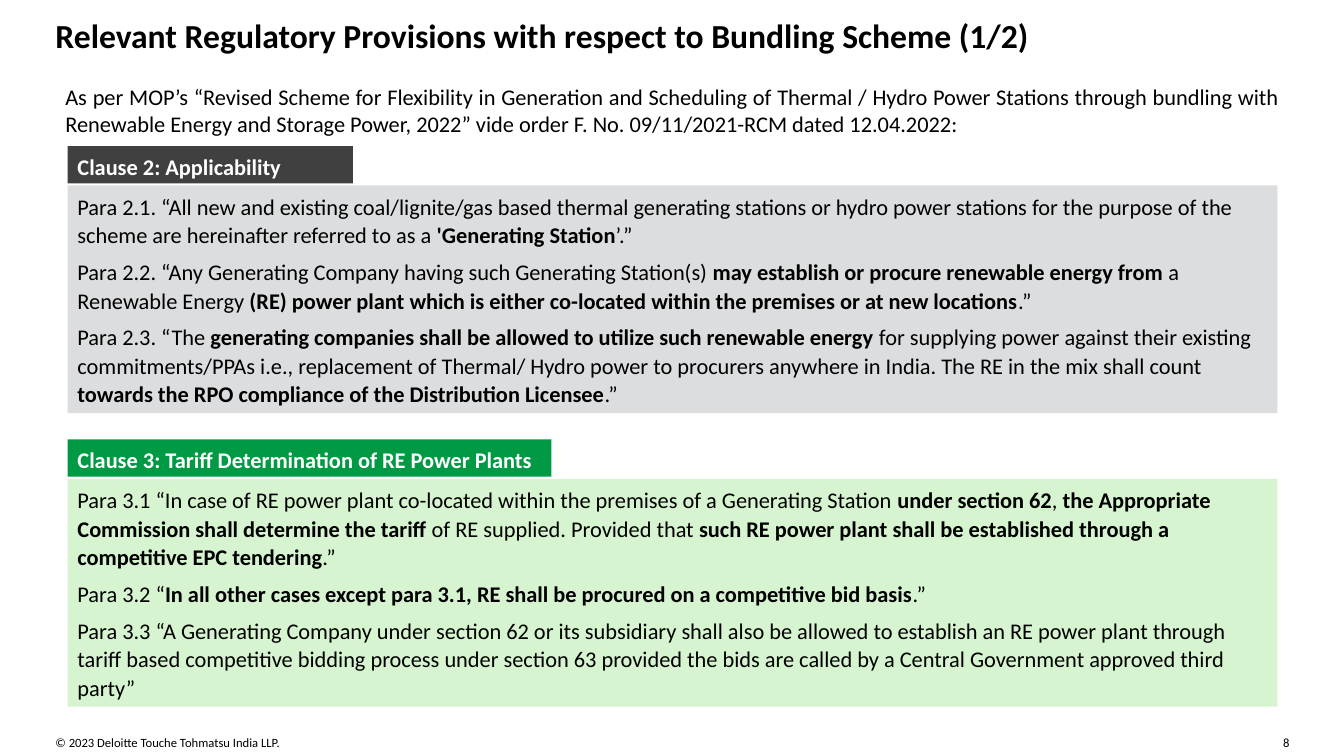
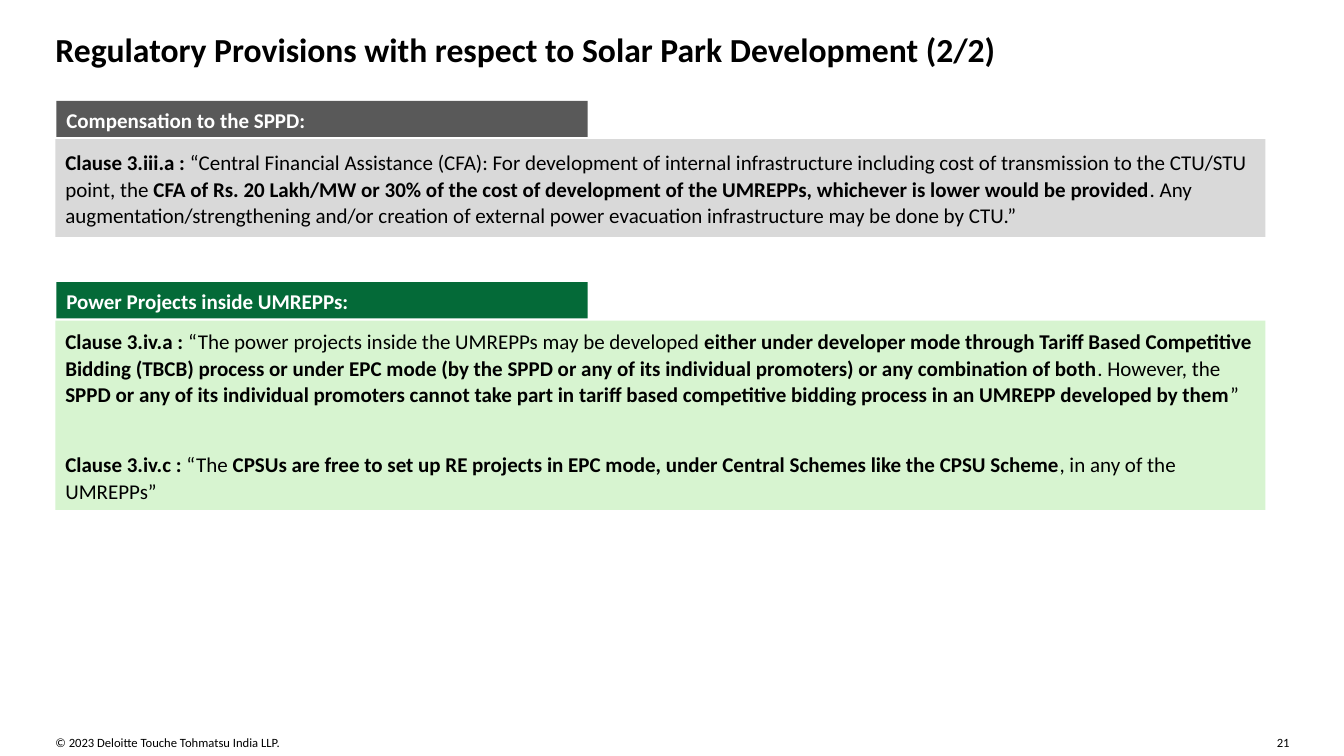
from pptx import Presentation
from pptx.dml.color import RGBColor
from pptx.enum.shapes import MSO_SHAPE
from pptx.enum.text import MSO_ANCHOR, MSO_AUTO_SIZE, PP_ALIGN
from pptx.util import Inches, Pt

FONT = "Calibri"
BLACK = "000000"
WHITE = "FFFFFF"
PALE_GREEN = "D7F4D0"
MARGIN = 0.55
CONTENT_WIDTH = 12.24
PANEL_WIDTH = 12
TITLE_LAYOUT = 5
COPYRIGHT = "© 2023 Deloitte Touche Tohmatsu India LLP."

BUNDLING_INTRO = (
    "As per MOP’s “Revised Scheme for Flexibility in Generation and Scheduling of Thermal / Hydro Power "
    "Stations through bundling with Renewable Energy and Storage Power, 2022” vide order "
    "F. No. 09/11/2021-RCM dated 12.04.2022:"
)
APPLICABILITY = [
    "Para 2.1. “All new and existing coal/lignite/gas based thermal generating stations or hydro power "
    "stations for the purpose of the scheme are hereinafter referred to as a **'Generating Station**’.”",
    "Para 2.2. “Any Generating Company having such Generating Station(s) **may establish or procure "
    "renewable energy from** a Renewable Energy **(RE) power plant which is either co-located within the "
    "premises or at new locations**.”",
    "Para 2.3. “The **generating companies shall be allowed to utilize such renewable energy **for "
    "supplying power against their existing commitments/PPAs i.e., replacement of Thermal/ Hydro power to "
    "procurers anywhere in India. The RE in the mix shall count **towards the RPO compliance of the "
    "Distribution Licensee**.”",
]
TARIFF = [
    "Para 3.1 “In case of RE power plant co-located within the premises of a Generating Station **under "
    "section 62**, **the Appropriate Commission shall determine the tariff** of RE supplied. Provided that "
    "**such RE power plant shall be established through a competitive EPC tendering**.”",
    "Para 3.2 “**In all other cases except para 3.1, RE shall be procured on a competitive bid basis**.”",
    "Para 3.3 “A Generating Company under section 62 or its subsidiary shall also be allowed to establish "
    "an RE power plant through tariff based competitive bidding process under section 63 provided the bids "
    "are called by a Central Government approved third party”",
]
COMPENSATION = [
    "**Clause 3.iii.a :** “Central Financial Assistance (CFA): For development of internal infrastructure "
    "including cost of transmission to the CTU/STU point, the **CFA of Rs. 20 Lakh/MW or 30% of the cost of "
    "development of the UMREPPs, whichever is lower would be provided**. Any augmentation/strengthening "
    "and/or creation of external power evacuation infrastructure may be done by CTU.”",
]
POWER_PROJECTS = [
    "**Clause 3.iv.a :** “The power projects inside the UMREPPs may be developed **either under developer "
    "mode through Tariff Based Competitive Bidding (TBCB) process or under EPC mode (by the SPPD or any of "
    "its individual promoters) or any combination of both**. However, the **SPPD or any of its individual "
    "promoters cannot take part in tariff based competitive bidding process in an UMREPP developed by "
    "them**”",
    "**Clause 3.iv.c :** “The **CPSUs are free to set up RE projects in EPC mode, under Central Schemes "
    "like the CPSU Scheme**, in any of the UMREPPs”",
]


def color(hex_value):
    """Return the colour for a hex string."""
    return RGBColor.from_string(hex_value)


def set_font(font, size, hex_value=BLACK, bold=False):
    """Apply the deck typeface to a font."""
    font.name = FONT
    font.size = Pt(size)
    font.bold = bold
    font.color.rgb = color(hex_value)


def set_frame(text_frame, anchor=MSO_ANCHOR.TOP, inset=None):
    """Wrap a text frame, anchor it and set equal insets if given."""
    text_frame.word_wrap = True
    text_frame.auto_size = MSO_AUTO_SIZE.NONE
    text_frame.vertical_anchor = anchor
    if inset is not None:
        text_frame.margin_left = text_frame.margin_right = Inches(inset)
        text_frame.margin_top = text_frame.margin_bottom = Inches(inset)


def add_label(slide, text, box, size, alignment=PP_ALIGN.LEFT, inset=None):
    """Add a plain text box."""
    shape = slide.shapes.add_textbox(*map(Inches, box))
    set_frame(shape.text_frame, inset=inset)
    shape.text_frame.text = text
    paragraph = shape.text_frame.paragraphs[0]
    paragraph.alignment = alignment
    set_font(paragraph.runs[0].font, size)


def add_block(slide, box, fill, anchor=MSO_ANCHOR.TOP, inset=None):
    """Add a flat rectangle and return its text frame."""
    shape = slide.shapes.add_shape(MSO_SHAPE.RECTANGLE, *map(Inches, box))
    shape.shadow.inherit = False
    shape.fill.solid()
    shape.fill.fore_color.rgb = color(fill)
    shape.line.fill.background()
    set_frame(shape.text_frame, anchor, inset)
    return shape.text_frame


def add_heading(slide, text, box, fill, size):
    """Add a coloured heading tab."""
    text_frame = add_block(slide, box, fill)
    text_frame.text = text
    paragraph = text_frame.paragraphs[0]
    paragraph.alignment = PP_ALIGN.LEFT
    paragraph.line_spacing = 1.06
    set_font(paragraph.runs[0].font, size, WHITE, True)


def add_panel(slide, clauses, box, fill, size, gap=0):
    """Add a panel of clauses whose bold parts stand between double asterisks."""
    text_frame = add_block(slide, box, fill, MSO_ANCHOR.MIDDLE, 0.1)
    for number, clause in enumerate(clauses):
        paragraph = text_frame.add_paragraph() if number else text_frame.paragraphs[0]
        paragraph.alignment = PP_ALIGN.LEFT
        paragraph.line_spacing = 1.06
        paragraph.space_after = Pt(6)
        if number:
            paragraph.space_before = Pt(gap)
        for position, part in enumerate(clause.split("**")):
            if part:
                run = paragraph.add_run()
                run.text = part
                set_font(run.font, size, bold=position % 2 == 1)


def add_slide(presentation, title, title_top, page):
    """Add a slide with its title, copyright line and page number."""
    slide = presentation.slides.add_slide(presentation.slide_layouts[TITLE_LAYOUT])
    shape = slide.shapes.title
    shape.left, shape.top = Inches(MARGIN), Inches(title_top)
    shape.width, shape.height = Inches(CONTENT_WIDTH), Inches(0.37)
    set_frame(shape.text_frame, inset=0)
    shape.text_frame.text = title
    paragraph = shape.text_frame.paragraphs[0]
    paragraph.alignment = PP_ALIGN.LEFT
    set_font(paragraph.runs[0].font, 24, bold=True)
    add_label(slide, COPYRIGHT, (MARGIN, 7.29, 5.86, 0.15), 9, inset=0)
    add_label(slide, str(page), (12.3, 7.29, 0.49, 0.15), 9, PP_ALIGN.RIGHT, 0)
    return slide


def add_bundling_slide(presentation):
    """Add the slide on the bundling scheme."""
    slide = add_slide(
        presentation, "Relevant Regulatory Provisions with respect to Bundling Scheme (1/2)", 0.15, 8
    )
    add_label(slide, BUNDLING_INTRO, (MARGIN, 0.78, CONTENT_WIDTH, 0.64), 16, PP_ALIGN.JUSTIFY)
    sections = [
        ("Clause 2: Applicability", 1.45, 2.83, "404040", APPLICABILITY, "DCDDDF"),
        ("Clause 3: Tariff Determination of RE Power Plants", 4.36, 4.8, "009A44", TARIFF, PALE_GREEN),
    ]
    for heading, top, width, dark, clauses, light in sections:
        add_heading(slide, heading, (0.67, top, width, 0.37), dark, 16)
        add_panel(slide, clauses, (0.67, top + 0.39, PANEL_WIDTH, 2.26), light, 16)


def add_solar_park_slide(presentation):
    """Add the slide on solar park development."""
    slide = add_slide(
        presentation, "Regulatory Provisions with respect to Solar Park Development (2/2)", 0.29, 21
    )
    sections = [
        ("Compensation to the SPPD:", 1, 0.97, "595959", COMPENSATION, "D9D9D9"),
        ("Power Projects inside UMREPPs:", 2.8, 1.88, "046A38", POWER_PROJECTS, PALE_GREEN),
    ]
    for heading, top, height, dark, clauses, light in sections:
        add_heading(slide, heading, (0.56, top, 5.27, 0.36), dark, 15)
        add_panel(slide, clauses, (MARGIN, top + 0.38, PANEL_WIDTH, height), light, 15, gap=25)


def main():
    """Build and save the presentation."""
    presentation = Presentation()
    presentation.slide_width = Inches(13.33)
    presentation.slide_height = Inches(7.5)
    add_bundling_slide(presentation)
    add_solar_park_slide(presentation)
    presentation.save("out.pptx")


if __name__ == "__main__":
    main()
